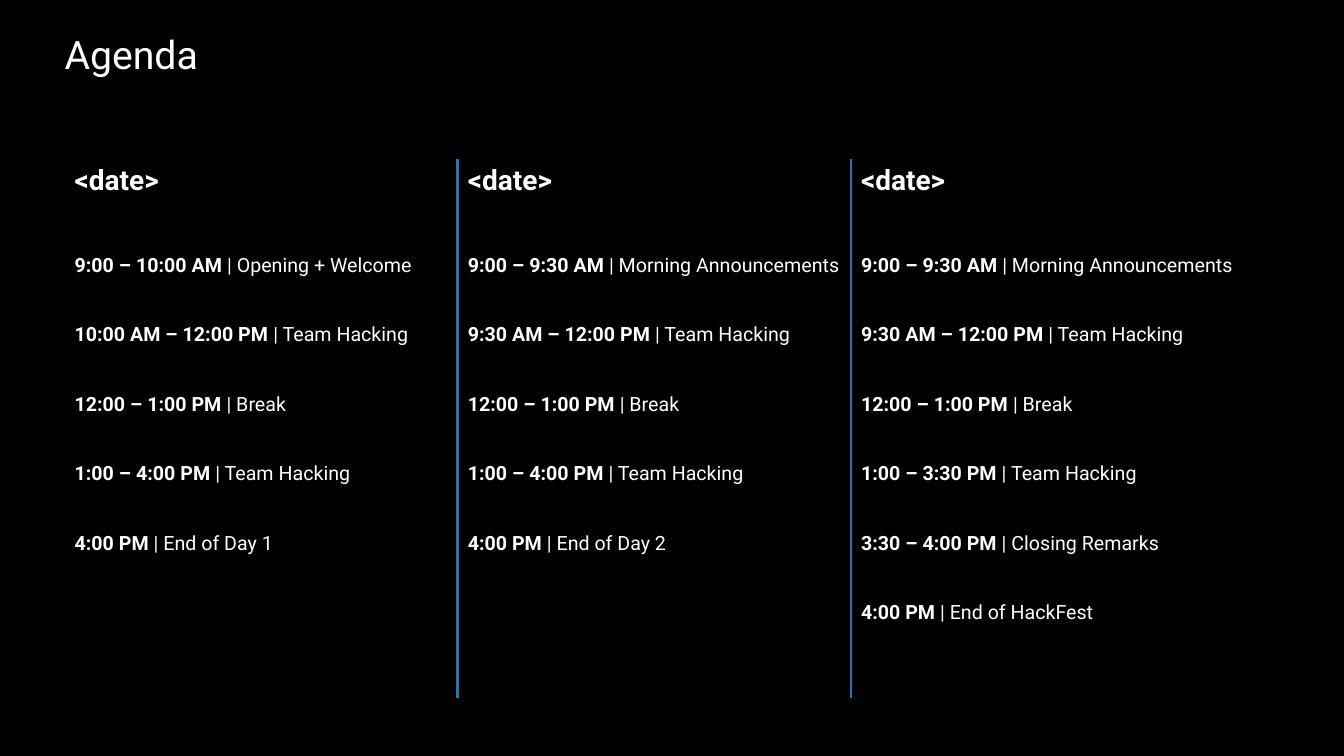
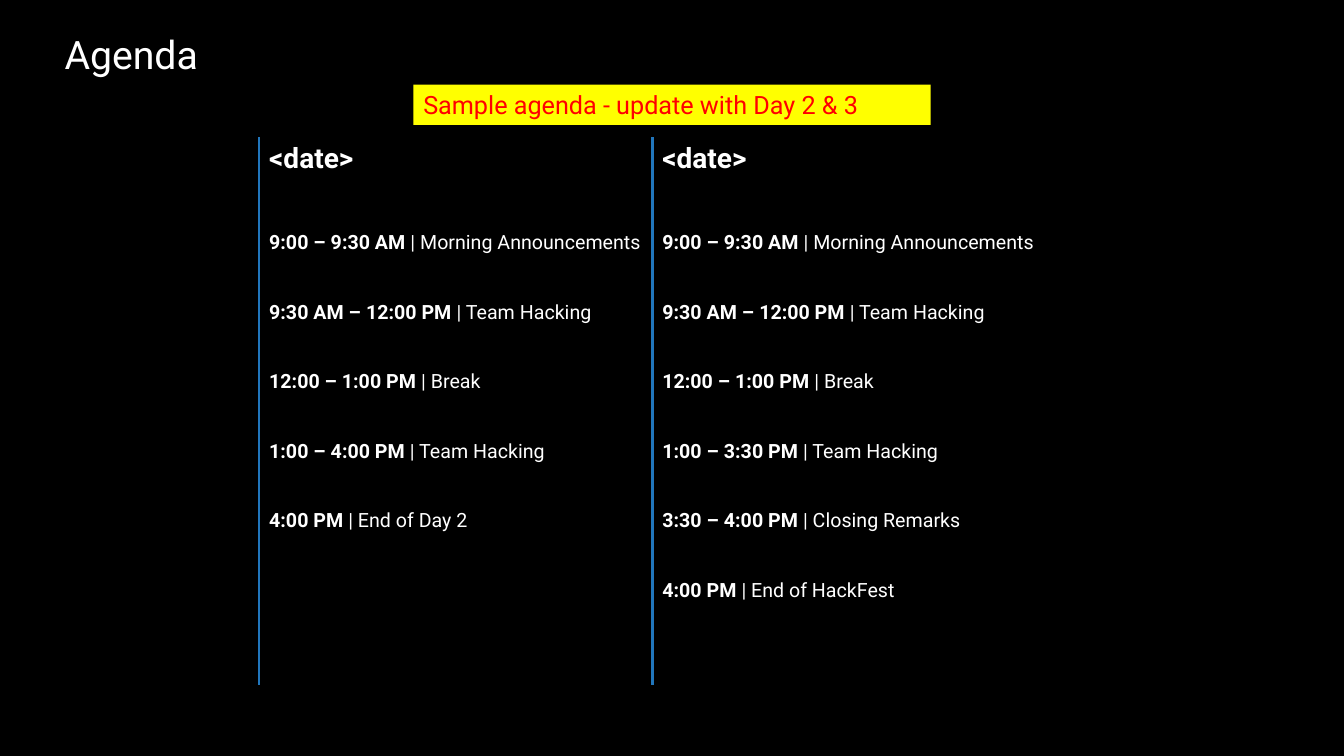
"""Build the two agenda slides of a three-day hacking event."""
from dataclasses import dataclass

from lxml import etree
from pptx import Presentation
from pptx.dml.color import RGBColor
from pptx.enum.shapes import MSO_SHAPE
from pptx.enum.text import MSO_ANCHOR, PP_ALIGN
from pptx.oxml.ns import qn
from pptx.util import Inches, Pt

RECTANGLE = MSO_SHAPE.RECTANGLE
LEFT = PP_ALIGN.LEFT
TOP, MIDDLE = MSO_ANCHOR.TOP, MSO_ANCHOR.MIDDLE
PLAIN_TABLE_STYLE = "{2D5ABB26-0587-4C30-8999-92F81FD0307C}"


@dataclass(frozen=True)
class Theme:
    """Colours, font and type sizes shared by the slides."""
    font: str = "Roboto"
    background: str = "000000"
    text: str = "FFFFFF"
    divider: str = "2176BC"
    note_fill: str = "FFFF00"
    note_text: str = "FF0000"
    title_size: int = 28
    date_size: int = 20
    note_size: int = 18
    session_size: int = 14
    divider_width: float = 2.25
    session_spacing: float = 3.0


THEME = Theme()
TITLE = "Agenda"
DATE = "<date>"
NOTE = "Sample agenda - update with Day 2 & 3"

MORNING = [
    ("9:00 – 9:30 AM", "Morning Announcements"),
    ("9:30 AM – 12:00 PM", "Team Hacking"),
    ("12:00 – 1:00 PM", "Break"),
]
DAY_1 = [
    ("9:00 – 10:00 AM", "Opening + Welcome"),
    ("10:00 AM – 12:00 PM", "Team Hacking"),
    ("12:00 – 1:00 PM", "Break"),
    ("1:00 – 4:00 PM", "Team Hacking"),
    ("4:00 PM", "End of Day 1"),
]
DAY_2 = MORNING + [
    ("1:00 – 4:00 PM", "Team Hacking"),
    ("4:00 PM", "End of Day 2"),
]
DAY_3 = MORNING + [
    ("1:00 – 3:30 PM", "Team Hacking"),
    ("3:30 – 4:00 PM", "Closing Remarks"),
    ("4:00 PM", "End of HackFest"),
]

AGENDAS = [
    {"days": [DAY_1, DAY_2, DAY_3], "left": 0.64, "top": 1.58,
     "body_height": 4.92, "note": None},
    {"days": [DAY_2, DAY_3], "left": 2.57, "top": 1.36,
     "body_height": 5.01, "note": NOTE},
]
COLUMN_WIDTH = 3.9
HEADER_HEIGHT = 0.41
TITLE_BOX = (0.64, 0.23, 8.14, 0.54)
NOTE_BOX = (4.1, 0.84, 5.13, 0.4)


def add_text(paragraph, text, *, size, color=THEME.text, bold=False):
    """Append a formatted run to a paragraph."""
    paragraph.alignment = LEFT
    run = paragraph.add_run()
    run.text = text
    run.font.name = THEME.font
    run.font.size = Pt(size)
    run.font.bold = bold
    run.font.color.rgb = RGBColor.from_string(color)


def add_title(slide):
    """Place and format the slide title."""
    title = slide.shapes.title
    title.left, title.top, title.width, title.height = map(Inches, TITLE_BOX)
    frame = title.text_frame
    frame.margin_left = frame.margin_right = frame.margin_bottom = 0
    frame.margin_top = Inches(0.07)
    frame.vertical_anchor = TOP
    add_text(frame.paragraphs[0], TITLE, size=THEME.title_size)


def add_note(slide, text):
    """Add the highlighted note above the agenda."""
    note = slide.shapes.add_shape(RECTANGLE, *map(Inches, NOTE_BOX))
    note.shadow.inherit = False
    note.fill.solid()
    note.fill.fore_color.rgb = RGBColor.from_string(THEME.note_fill)
    note.line.fill.background()
    note.text_frame.word_wrap = True
    note.text_frame.vertical_anchor = MIDDLE
    add_text(note.text_frame.paragraphs[0], text,
             size=THEME.note_size, color=THEME.note_text)


def add_border(cell, tag):
    """Draw a divider along one side of a cell."""
    properties = cell._tc.get_or_add_tcPr()
    line = etree.SubElement(properties, qn(tag), w=str(Pt(THEME.divider_width)))
    fill = etree.SubElement(line, qn("a:solidFill"))
    etree.SubElement(fill, qn("a:srgbClr"), val=THEME.divider)


def fill_sessions(cell, sessions):
    """Write one widely spaced line per session."""
    frame = cell.text_frame
    for index, (time, activity) in enumerate(sessions):
        paragraph = frame.add_paragraph() if index else frame.paragraphs[0]
        paragraph.line_spacing = THEME.session_spacing
        add_text(paragraph, f"{time} ", size=THEME.session_size, bold=True)
        add_text(paragraph, f"| {activity}", size=THEME.session_size)


def add_agenda(slide, days, left, top, body_height):
    """Add a column per day, with a divider before each day but the first."""
    heights = (HEADER_HEIGHT, body_height)
    frame = slide.shapes.add_table(
        len(heights), len(days), Inches(left), Inches(top),
        Inches(COLUMN_WIDTH * len(days)), Inches(sum(heights)))
    table = frame.table
    table.first_row = table.horz_banding = False
    table._tbl.tblPr.find(qn("a:tableStyleId")).text = PLAIN_TABLE_STYLE
    for row, height in zip(table.rows, heights):
        row.height = Inches(height)
    for index, day in enumerate(days):
        table.columns[index].width = Inches(COLUMN_WIDTH)
        header, body = table.cell(0, index), table.cell(1, index)
        for cell in (header, body):
            if day is not DAY_1:
                add_border(cell, "a:lnL")
            if index < len(days) - 1:
                add_border(cell, "a:lnR")
            cell.fill.background()
        add_text(header.text_frame.paragraphs[0], DATE,
                 size=THEME.date_size, bold=True)
        fill_sessions(body, day)


def main():
    """Create and save the presentation."""
    presentation = Presentation()
    presentation.slide_width = Inches(13.33)
    presentation.slide_height = Inches(7.5)
    background = presentation.slide_master.background.fill
    background.solid()
    background.fore_color.rgb = RGBColor.from_string(THEME.background)
    title_only = presentation.slide_layouts.get_by_name("Title Only")
    for agenda in AGENDAS:
        slide = presentation.slides.add_slide(title_only)
        add_title(slide)
        add_agenda(slide, agenda["days"], agenda["left"], agenda["top"],
                   agenda["body_height"])
        if agenda["note"]:
            add_note(slide, agenda["note"])
    presentation.save("out.pptx")


if __name__ == "__main__":
    main()
